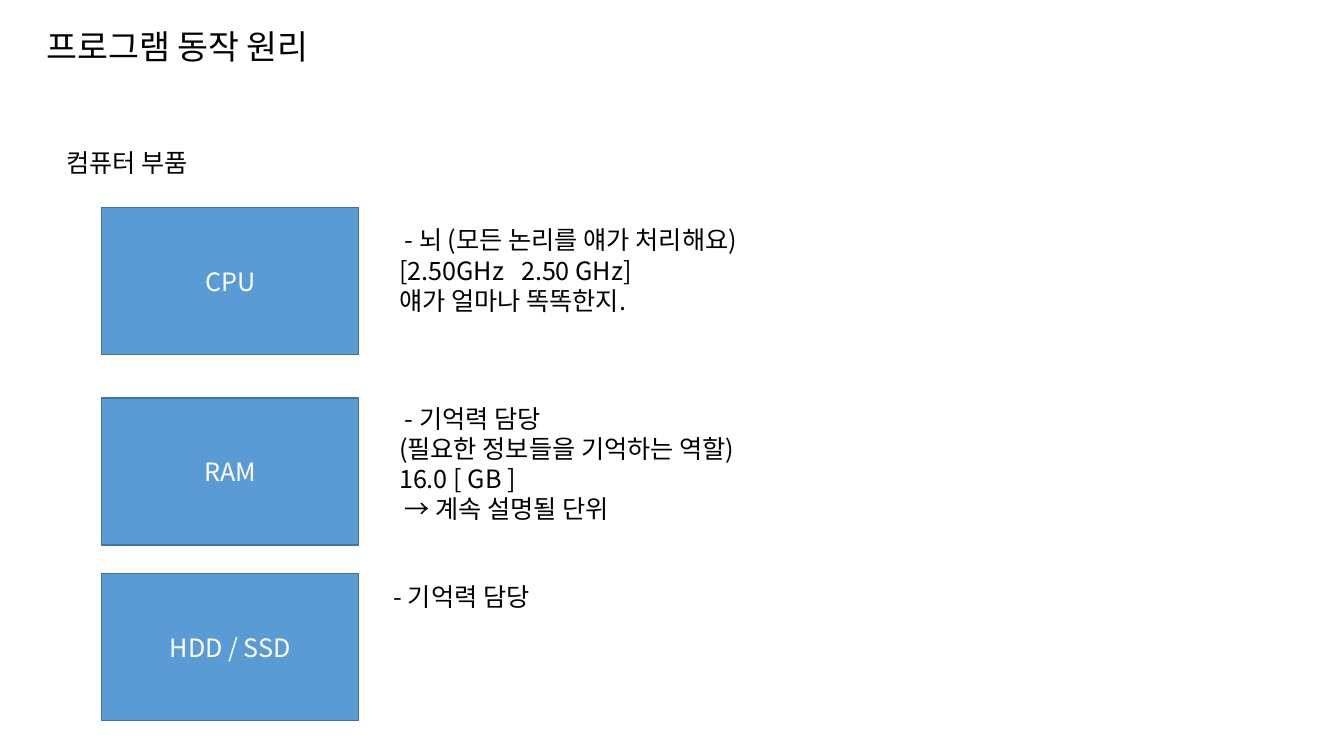
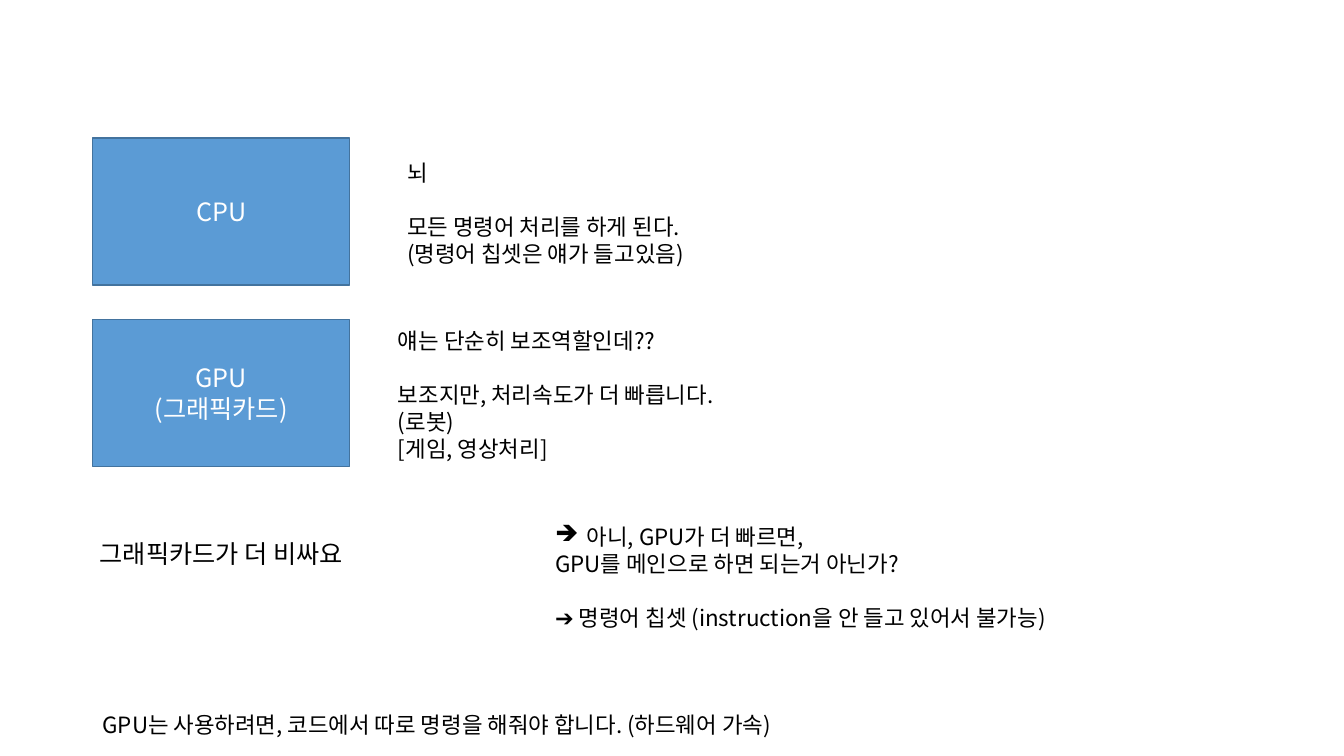
from dataclasses import dataclass

from lxml.etree import SubElement
from pptx import Presentation
from pptx.dml.color import RGBColor
from pptx.enum.shapes import MSO_SHAPE
from pptx.enum.text import MSO_ANCHOR, MSO_AUTO_SIZE, PP_ALIGN
from pptx.oxml.ns import qn
from pptx.slide import Slide
from pptx.text.text import TextFrame
from pptx.util import Pt

FONT = "Noto Sans CJK KR"
INK, WHITE = "000000", "FFFFFF"
CARD_FILL, CARD_LINE = "5B9BD5", "43739E"
CARD_WIDTH, CARD_HEIGHT = 183.6, 105.1
TITLE_SIZE, BODY_SIZE, NOTE_SIZE = 24, 18, 16
LINE_FACTOR = 1.2
BULLET_INDENT = 22.5


@dataclass(frozen=True)
class Line:
    text: str
    gap_before: bool = False
    bullet: str = ""


@dataclass(frozen=True)
class Note:
    left: float
    top: float
    width: float
    height: float
    lines: tuple[Line, ...]
    size: int = BODY_SIZE
    align: PP_ALIGN = PP_ALIGN.LEFT
    wrap: bool = False


@dataclass(frozen=True)
class Card:
    top: float
    lines: tuple[Line, ...]


@dataclass(frozen=True)
class Page:
    card_left: float
    cards: tuple[Card, ...]
    notes: tuple[Note, ...]


PAGES = (
    Page(
        card_left=72.7,
        cards=(
            Card(148.3, (Line("CPU"),)),
            Card(284.2, (Line("RAM"),)),
            Card(409.7, (Line("HDD / SSD"),)),
        ),
        notes=(
            Note(26, 15, 214.6, 36, (Line("프로그램 동작 원리"),), TITLE_SIZE),
            Note(40.2, 101.4, 107.3, 29, (Line("컴퓨터 부품"),)),
            Note(278, 157, 268, 73, (
                Line(" - 뇌 (모든 논리를 얘가 처리해요)"),
                Line("[2.50GHz   2.50 GHz]"),
                Line("얘가 얼마나 똑똑한지."),
            ), wrap=True),
            Note(278, 284.2, 269.3, 94.3, (
                Line(" - 기억력 담당"),
                Line("(필요한 정보들을 기억하는 역할)"),
                Line("16.0 [ GB ]"),
                Line(" → 계속 설명될 단위"),
            )),
            Note(270, 412, 125.3, 51, (Line(" - 기억력 담당"),)),
        ),
    ),
    Page(
        card_left=66.2,
        cards=(
            Card(98.6, (Line("CPU"),)),
            Card(228.2, (Line("GPU"), Line("(그래픽카드)"))),
        ),
        notes=(
            Note(283.7, 110.2, 224.6, 85, (
                Line("뇌"),
                Line("모든 명령어 처리를 하게 된다.", gap_before=True),
                Line("(명령어 칩셋은 얘가 들고있음)"),
            ), NOTE_SIZE),
            Note(277.2, 230.4, 255.6, 104.4, (
                Line("얘는 단순히 보조역할인데??"),
                Line("보조지만, 처리속도가 더 빠릅니다.", gap_before=True),
                Line("(로봇)"),
                Line("[게임, 영상처리]"),
            ), NOTE_SIZE),
            Note(53.3, 380.9, 209.5, 29, (Line("그래픽카드가 더 비싸요"),),
                 align=PP_ALIGN.CENTER),
            Note(389.5, 370.1, 395.3, 85, (
                Line("아니, GPU가 더 빠르면,", bullet="➔"),
                Line("GPU를 메인으로 하면 되는거 아닌가?"),
                Line("➔ 명령어 칩셋 (instruction을 안 들고 있어서 불가능)",
                     gap_before=True),
            ), NOTE_SIZE),
            Note(66.2, 504.7, 521.3, 26.6, (
                Line("GPU는 사용하려면, 코드에서 따로 명령을 해줘야 합니다. (하드웨어 가속)"),
            ), NOTE_SIZE),
        ),
    ),
)


def rgb(hex_code: str) -> RGBColor:
    return RGBColor.from_string(hex_code)


def write_lines(frame: TextFrame, lines: tuple[Line, ...], size: int,
                color: str, align: PP_ALIGN) -> None:
    """Write one paragraph per line, with a fixed line pitch."""
    pitch = Pt(size * LINE_FACTOR)
    for index, line in enumerate(lines):
        paragraph = frame.add_paragraph() if index else frame.paragraphs[0]
        paragraph.alignment = align
        paragraph.line_spacing = pitch
        if line.gap_before:
            paragraph.space_before = pitch
        if line.bullet:
            properties = paragraph._p.get_or_add_pPr()
            properties.set("marL", str(Pt(BULLET_INDENT)))
            properties.set("indent", str(-Pt(BULLET_INDENT)))
            SubElement(properties, qn("a:buChar")).set("char", line.bullet)
        run = paragraph.add_run()
        run.text = line.text
        run.font.size = Pt(size)
        run.font.name = FONT
        run.font.color.rgb = rgb(color)
        east_asian = SubElement(run._r.get_or_add_rPr(), qn("a:ea"))
        east_asian.set("typeface", FONT)


def draw_card(slide: Slide, left: float, card: Card) -> None:
    box = slide.shapes.add_shape(MSO_SHAPE.RECTANGLE, Pt(left), Pt(card.top),
                                 Pt(CARD_WIDTH), Pt(CARD_HEIGHT))
    box.shadow.inherit = False
    box.fill.solid()
    box.fill.fore_color.rgb = rgb(CARD_FILL)
    box.line.color.rgb = rgb(CARD_LINE)
    box.line.width = Pt(1)
    box.text_frame.vertical_anchor = MSO_ANCHOR.MIDDLE
    write_lines(box.text_frame, card.lines, BODY_SIZE, WHITE, PP_ALIGN.CENTER)


def draw_note(slide: Slide, note: Note) -> None:
    box = slide.shapes.add_textbox(Pt(note.left), Pt(note.top),
                                   Pt(note.width), Pt(note.height))
    frame = box.text_frame
    frame.word_wrap = note.wrap
    frame.auto_size = MSO_AUTO_SIZE.SHAPE_TO_FIT_TEXT
    write_lines(frame, note.lines, note.size, INK, note.align)


def main() -> None:
    deck = Presentation()
    deck.slide_width, deck.slide_height = Pt(960), Pt(540)
    blank = deck.slide_layouts[6]
    for page in PAGES:
        slide = deck.slides.add_slide(blank)
        for card in page.cards:
            draw_card(slide, page.card_left, card)
        for note in page.notes:
            draw_note(slide, note)
    deck.save("out.pptx")


if __name__ == "__main__":
    main()
